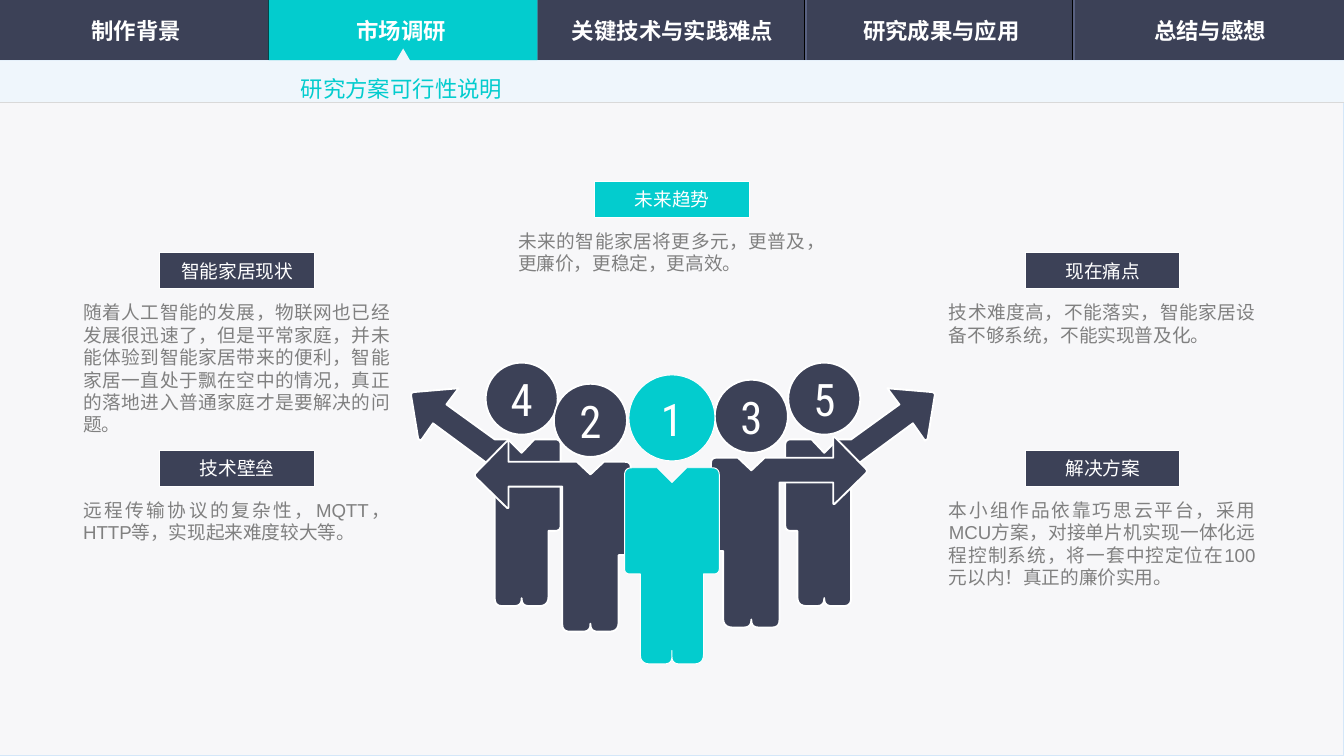
"""Build the feasibility slide: tab bar, five numbered figures and five labelled notes."""
import math
from dataclasses import dataclass
from typing import NamedTuple, Optional

import lxml.etree
import pptx
import pptx.dml.color
import pptx.enum.shapes
import pptx.enum.text
import pptx.oxml.ns
import pptx.util

Pt = pptx.util.Pt
Shape = pptx.enum.shapes.MSO_SHAPE
Align = pptx.enum.text.PP_ALIGN
Anchor = pptx.enum.text.MSO_ANCHOR
AutoSize = pptx.enum.text.MSO_AUTO_SIZE


@dataclass(frozen=True)
class Theme:
    navy: str = "3C4157"
    teal: str = "03CCCE"
    white: str = "FFFFFF"
    black: str = "000000"
    gray: str = "808080"
    panel: str = "F7F7F9"
    panel_edge: str = "D4E7F9"
    band: str = "EFF6FC"
    rule: str = "D9D9D9"
    divider: str = "596181"
    nav_font: str = "Noto Sans CJK SC"
    label_font: str = "Roboto Condensed"
    body_font: str = "Arial"
    nav_size: float = 12
    body_size: float = 10
    number_size: float = 24


class Corner(NamedTuple):
    x: float
    y: float
    radius: float = 0


class Frame(NamedTuple):
    left: float
    top: float
    width: float
    height: float


class TextStyle(NamedTuple):
    font: str
    size: float
    color: str
    align: Align = Align.CENTER
    bold: bool = False


class Figure(NamedTuple):
    number: str
    neck_x: float
    neck_y: float
    outline: list[Corner]
    head_size: float
    head_rise: float = 29
    facing: int = 1
    color: str = Theme.navy
    line_width: float = 1


class Note(NamedTuple):
    title: str
    body: str
    left: float
    top: float
    body_height: float
    color: str = Theme.navy


THEME = Theme()
NAV_STYLE = TextStyle(THEME.nav_font, THEME.nav_size, THEME.white, bold=True)
SUBTITLE_STYLE = TextStyle(THEME.nav_font, THEME.nav_size, THEME.teal, Align.LEFT)
LABEL_STYLE = TextStyle(THEME.label_font, THEME.body_size, THEME.white)
NUMBER_STYLE = TextStyle(THEME.label_font, THEME.number_size, THEME.white)
BODY_STYLE = TextStyle(THEME.body_font, THEME.body_size, THEME.gray, Align.JUSTIFY)

PAGE_WIDTH, PAGE_HEIGHT, BAR_HEIGHT, BAND_BOTTOM = 720, 405, 32.4, 54.7
TABS = (("制作背景", 1.4), ("市场调研", 143.3), ("关键技术与实践难点", 288.7),
        ("研究成果与应用", 432.7), ("总结与感想", 576.7))

OUTER = [Corner(59.5, -32.4, 2), Corner(33.8, -34.6), Corner(40.3, -25.9),
         Corner(14.4, -7.2), Corner(7.2, -7.2), Corner(0, 0), Corner(-6.8, -7.2),
         Corner(-20.9, -7.2, 3), Corner(-20.9, 41.8, 3), Corner(-14.4, 41.8),
         Corner(-14.4, 82.1, 5), Corner(0, 82.1, 4), Corner(0, 77.8),
         Corner(0, 82.1, 4), Corner(14.4, 82.1, 4), Corner(14.4, 8.6),
         Corner(47.5, -15.8), Corner(54, -6.5), Corner(55.4, -7.5)]
INNER = [Corner(62.6, 0.4, 2), Corner(44.6, -18), Corner(43.9, -18),
         Corner(43.9, -6.8), Corner(7.2, -6.8), Corner(0, 0), Corner(-7.2, -6.8),
         Corner(-21.6, -6.8, 3), Corner(-21.6, 43.2, 3), Corner(-15.1, 43.2),
         Corner(-15.1, 84.2, 5), Corner(0, 84.2, 4), Corner(0, 79.9),
         Corner(0, 84.2, 4), Corner(15.1, 84.2, 4), Corner(15.1, 6.5),
         Corner(43.9, 6.5), Corner(43.9, 18), Corner(44.6, 18)]
LEADER_HALF = [Corner(7.9, -7.9), Corner(25.4, -7.9, 4), Corner(25.4, 49, 3),
               Corner(16.9, 49), Corner(16.9, 97.2, 5), Corner(0, 97.2, 4)]
LEADER = [Corner(0, 0), *LEADER_HALF, Corner(0, 90),
          *(corner._replace(x=-corner.x) for corner in reversed(LEADER_HALF))]

FIGURES = (
    Figure("5", 441.6, 242.6, OUTER, 38.6),
    Figure("4", 279.5, 242.6, OUTER, 38.6, facing=-1),
    Figure("2", 316.3, 254.2, INNER, 39.2, facing=-1),
    Figure("3", 402.5, 252, INNER, 39.2),
    Figure("1", 360, 258.5, LEADER, 46.1, 34.6, color=THEME.teal, line_width=0.5),
)
NOTES = (
    Note("现在痛点", "技术难度高，不能落实，智能家居设备不够系统，不能实现普及化。", 508.3, 135.4, 24.2),
    Note("解决方案", "本小组作品依靠巧思云平台，采用MCU方案，对接单片机实现一体化远程控制系统，"
         "将一套中控定位在100元以内！真正的廉价实用。", 508.3, 241.2, 48.5),
    Note("智能家居现状", "随着人工智能的发展，物联网也已经发展很迅速了，但是平常家庭，并未能体验到智能家居带来的便利，"
         "智能家居一直处于飘在空中的情况，真正的落地进入普通家庭才是要解决的问题。", 44.6, 135.4, 72.7),
    Note("技术壁垒", "远程传输协议的复杂性，MQTT，HTTP等，实现起来难度较大等。", 44.6, 241.2, 24.2),
    Note("未来趋势", "未来的智能家居将更多元，更普及，更廉价，更稳定，更高效。", 277.6, 97.2, 24.2, THEME.teal),
)


def rgb(color: str) -> pptx.dml.color.RGBColor:
    return pptx.dml.color.RGBColor.from_string(color)


def paint(shape, fill: Optional[str], line: Optional[str] = None, width: float = 0.5) -> None:
    shape.shadow.inherit = False
    if fill:
        shape.fill.solid()
        shape.fill.fore_color.rgb = rgb(fill)
    else:
        shape.fill.background()
    if line:
        shape.line.color.rgb = rgb(line)
        shape.line.width = Pt(width)
    else:
        shape.line.fill.background()


def add_preset(page, kind: Shape, frame: Frame, fill=None, line=None, width: float = 0.5):
    shape = page.shapes.add_shape(kind, *map(Pt, frame))
    paint(shape, fill, line, width)
    return shape


def add_outline(page, points: list[tuple[float, float]], fill: str, line=None, width: float = 0.5) -> None:
    emu = [(Pt(x), Pt(y)) for x, y in points]
    builder = page.shapes.build_freeform(*emu[0])
    builder.add_line_segments(emu[1:])
    paint(builder.convert_to_shape(), fill, line, width)


def add_rule(page, start: tuple, end: tuple, color: str, width: float) -> None:
    rule = page.shapes.add_connector(
        pptx.enum.shapes.MSO_CONNECTOR.STRAIGHT, *map(Pt, start + end))
    rule.line.color.rgb = rgb(color)
    rule.line.width = Pt(width)
    lxml.etree.SubElement(rule._element.spPr, pptx.oxml.ns.qn("a:effectLst"))


def write(shape, text: str, style: TextStyle):
    para = shape.text_frame.paragraphs[0]
    para.text = text
    para.alignment = style.align
    para.font.name, para.font.size, para.font.bold = style.font, Pt(style.size), style.bold
    para.font.color.rgb = rgb(style.color)
    return para


def add_label(page, frame: Frame, text: str, style: TextStyle, fill=None, line=None) -> None:
    label = add_preset(page, Shape.ROUNDED_RECTANGLE, frame, fill, line)
    label.adjustments[0] = 0
    label.text_frame.vertical_anchor = Anchor.MIDDLE
    write(label, text, style)


def add_text(page, frame: Frame, text: str, style: TextStyle, wrap: bool, inset: bool = False):
    box = page.shapes.add_textbox(*map(Pt, frame))
    text_frame = box.text_frame
    text_frame.word_wrap = wrap
    text_frame.auto_size = AutoSize.SHAPE_TO_FIT_TEXT
    if not inset:
        text_frame.margin_left = text_frame.margin_right = 0
        text_frame.margin_top = text_frame.margin_bottom = 0
    return write(box, text, style)


def round_corners(corners: list[Corner], steps: int = 5) -> list[tuple[float, float]]:
    points = []
    for index, corner in enumerate(corners):
        if not corner.radius:
            points.append((corner.x, corner.y))
            continue
        ends = []
        for other in (corners[index - 1], corners[(index + 1) % len(corners)]):
            length = math.dist(corner[:2], other[:2])
            share = min(corner.radius / length, 0.9)
            ends.append([a + (b - a) * share for a, b in zip(corner[:2], other[:2])])
        for t in (step / steps for step in range(steps + 1)):
            points.append(tuple((1 - t) ** 2 * a + 2 * t * (1 - t) * c + t * t * b
                                for a, c, b in zip(ends[0], corner[:2], ends[1])))
    return points


def add_figure(page, figure: Figure) -> None:
    body = [(figure.neck_x + figure.facing * x, figure.neck_y + y)
            for x, y in round_corners(figure.outline)]
    add_outline(page, body, figure.color, THEME.white, figure.line_width)
    size, middle = figure.head_size, figure.neck_y - figure.head_rise
    head = Frame(figure.neck_x - size / 2, middle - size / 2, size, size)
    add_preset(page, Shape.OVAL, head, figure.color, THEME.white, figure.line_width)


def add_number(page, figure: Figure) -> None:
    middle = figure.neck_y - figure.head_rise
    add_text(page, Frame(figure.neck_x - 6.5, middle - 14.2, 13, 28.8),
             figure.number, NUMBER_STYLE, wrap=False)


def add_note(page, note: Note) -> None:
    add_text(page, Frame(note.left, note.top + 25.9, 164.2, note.body_height),
             note.body, BODY_STYLE, wrap=True)
    add_label(page, Frame(note.left + 41, note.top, 82.8, 19.4),
              note.title, LABEL_STYLE, note.color, THEME.white)


def add_backdrop(page) -> None:
    add_preset(page, Shape.RECTANGLE, Frame(0, 0, PAGE_WIDTH, BAR_HEIGHT), THEME.navy)
    add_preset(page, Shape.RECTANGLE, Frame(0, BAR_HEIGHT, PAGE_WIDTH, PAGE_HEIGHT - BAR_HEIGHT),
               THEME.panel, THEME.panel_edge)
    for index in range(1, len(TABS)):
        for shift, color, width in ((0, THEME.black, 0.5), (0.9, THEME.divider, 0.75)):
            x = 143.6 * index + shift
            add_rule(page, (x, 0), (x, BAR_HEIGHT), color, width)
    add_preset(page, Shape.RECTANGLE, Frame(144, 0, 144, BAR_HEIGHT), THEME.teal)
    add_outline(page, [(216, 26), (219.7, BAR_HEIGHT), (PAGE_WIDTH, BAR_HEIGHT),
                       (PAGE_WIDTH, BAND_BOTTOM), (0, BAND_BOTTOM), (0, BAR_HEIGHT),
                       (212.3, BAR_HEIGHT)], THEME.band)
    add_rule(page, (0, BAND_BOTTOM), (PAGE_WIDTH, BAND_BOTTOM), THEME.rule, 0.5)


def main() -> None:
    deck = pptx.Presentation()
    deck.slide_width, deck.slide_height = Pt(PAGE_WIDTH), Pt(PAGE_HEIGHT)
    page = deck.slides.add_slide(deck.slide_layouts[6])
    add_backdrop(page)
    for figure in FIGURES:
        add_figure(page, figure)
    for figure in FIGURES:
        add_number(page, figure)
    for note in NOTES:
        add_note(page, note)
    for title, left in TABS:
        add_label(page, Frame(left, 5, 143.3, 22.3), title, NAV_STYLE)
    subtitle = add_text(page, Frame(154.1, 29.5, 123.8, 26.6), "研究方案可行性说明",
                        SUBTITLE_STYLE, wrap=False, inset=True)
    subtitle.line_spacing = 1.5
    deck.save("out.pptx")


if __name__ == "__main__":
    main()
